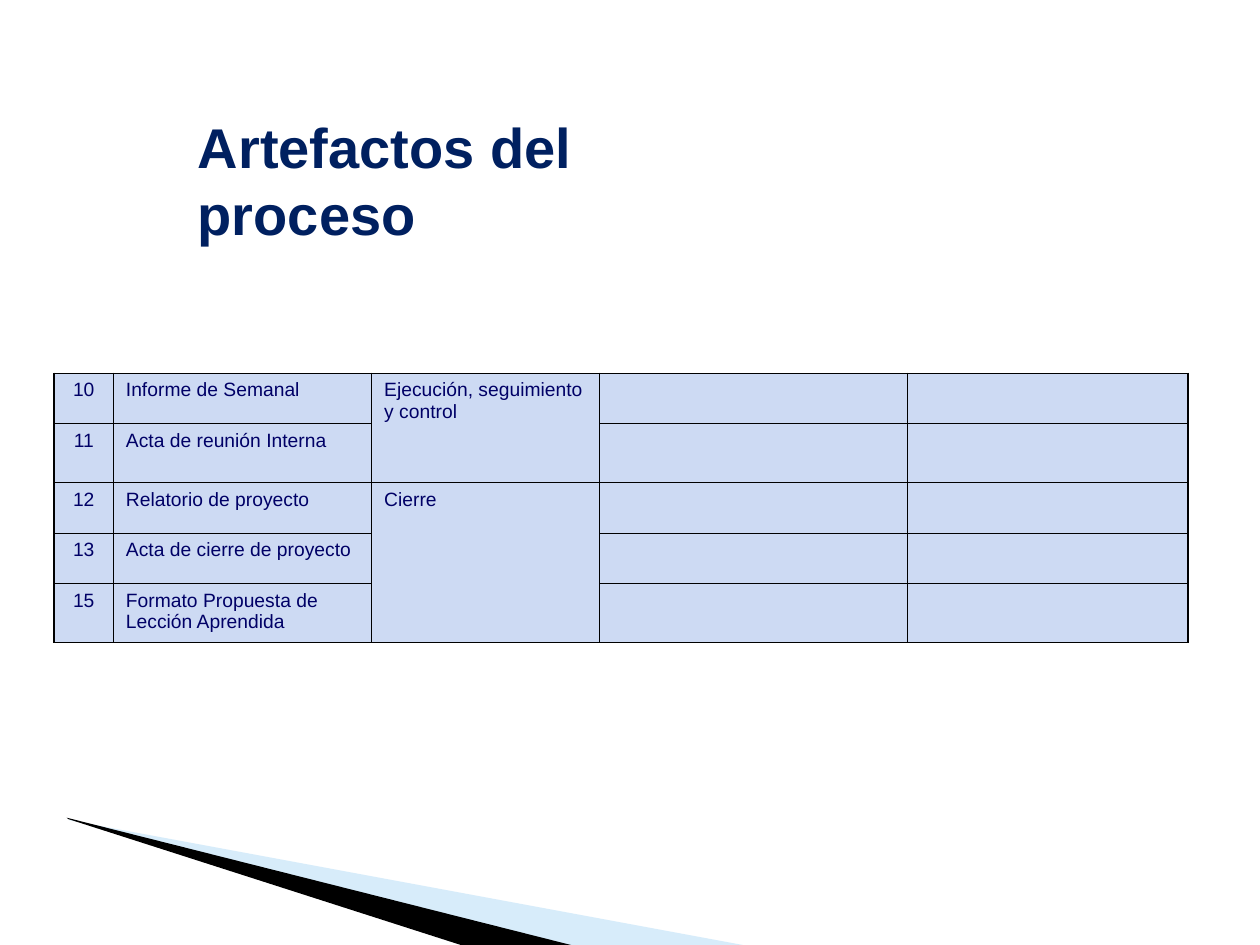
"""Build the slide that lists the process artefacts by project phase."""
from lxml import etree
from pptx import Presentation
from pptx import util as u
from pptx.dml.color import RGBColor
from pptx.enum import text
from pptx.oxml import ns

NAVY = RGBColor(0x00, 0x20, 0x60)
INDIGO = RGBColor(0x00, 0x00, 0x66)
PALE_BLUE = RGBColor(0xCD, 0xDA, 0xF3)
SKY = RGBColor(0x9B, 0xD0, 0xF4)
BLACK = RGBColor(0x00, 0x00, 0x00)
THIN, THICK = 0.45, 1.08


def add_run(paragraph, words, size, color, bold=False):
    run = paragraph.add_run()
    run.text = words
    run.font.name = "Arial"
    run.font.size = u.Pt(size)
    run.font.bold = bold
    run.font.color.rgb = color


def set_borders(cell, widths):
    properties = cell._tc.get_or_add_tcPr()
    for position, (side, width) in enumerate(widths.items()):
        line = etree.Element(ns.qn(f"a:ln{side}"), w=str(u.Pt(width)))
        fill = etree.SubElement(line, ns.qn("a:solidFill"))
        etree.SubElement(fill, ns.qn("a:srgbClr"), val=str(BLACK))
        properties.insert(position, line)


deck = Presentation()
deck.slide_width, deck.slide_height = u.Inches(10), u.Inches(7.5)
slide = deck.slides.add_slide(deck.slide_layouts[5])

wedges = [
    (SKY, 40, [(0.55, 6.51), (5.95, 7.51), (4.56, 7.51), (0.55, 6.5)]),
    (BLACK, 100, [(0.53, 6.49), (4.57, 7.51), (3.72, 7.52), (0.54, 6.5)]),
]
for color, opacity, corners in wedges:
    points = [(u.Inches(x), u.Inches(y)) for x, y in corners]
    builder = slide.shapes.build_freeform(*points[0])
    builder.add_line_segments(points[1:])
    wedge = builder.convert_to_shape()
    wedge.shadow.inherit = False
    wedge.line.fill.background()
    wedge.fill.solid()
    wedge.fill.fore_color.rgb = color
    if opacity < 100:
        tint = wedge.fill._xPr.find(".//" + ns.qn("a:srgbClr"))
        etree.SubElement(tint, ns.qn("a:alpha"), val=str(opacity * 1000))

title = slide.shapes.title
title.left, title.top = u.Inches(1.47), u.Inches(0.84)
title.width, title.height = u.Inches(5.02), u.Inches(0.64)
title.text_frame.word_wrap = False
title.text_frame.auto_size = text.MSO_AUTO_SIZE.SHAPE_TO_FIT_TEXT
title.text_frame.vertical_anchor = text.MSO_ANCHOR.TOP
heading = title.text_frame.paragraphs[0]
heading.alignment = text.PP_ALIGN.LEFT
add_run(heading, "Artefactos del proceso", 32, NAVY, bold=True)

artefacts = [
    ("10", "Informe de Semanal", "Ejecución, seguimiento y control", "", ""),
    ("11", "Acta de reunión Interna", "", "", ""),
    ("12", "Relatorio de proyecto", "Cierre", "", ""),
    ("13", "Acta de cierre de proyecto", "", "", ""),
    ("15", "Formato Propuesta de Lección Aprendida", "", "", ""),
]
column_widths = [0.47, 2.05, 1.81, 2.44, 2.23]
row_heights = [0.28, 0.47, 0.28, 0.28, 0.47]
last_row, last_column = len(row_heights) - 1, len(column_widths) - 1

table = slide.shapes.add_table(
    len(row_heights), len(column_widths),
    u.Inches(0.43), u.Inches(2.96), u.Inches(9), u.Inches(1.74)).table
table.first_row = table.horz_banding = False
for column, width in zip(table.columns, column_widths):
    column.width = u.Inches(width)
for row, height in zip(table.rows, row_heights):
    row.height = u.Inches(height)

for first, last in [(0, 1), (2, 4)]:
    table.cell(first, 2).merge(table.cell(last, 2))

for r, artefact in enumerate(artefacts):
    for c, words in enumerate(artefact):
        cell = table.cell(r, c)
        cell.fill.solid()
        cell.fill.fore_color.rgb = PALE_BLUE
        phase_ends = r == last_row or (c == 2 and r == 2)
        set_borders(cell, {
            "L": THICK if c == 0 else THIN,
            "R": THICK if c == last_column else THIN,
            "T": THIN,
            "B": THICK if phase_ends else THIN,
        })
        if words:
            paragraph = cell.text_frame.paragraphs[0]
            paragraph.alignment = text.PP_ALIGN.CENTER if c == 0 else text.PP_ALIGN.LEFT
            add_run(paragraph, words, 11, INDIGO)

deck.save("out.pptx")
